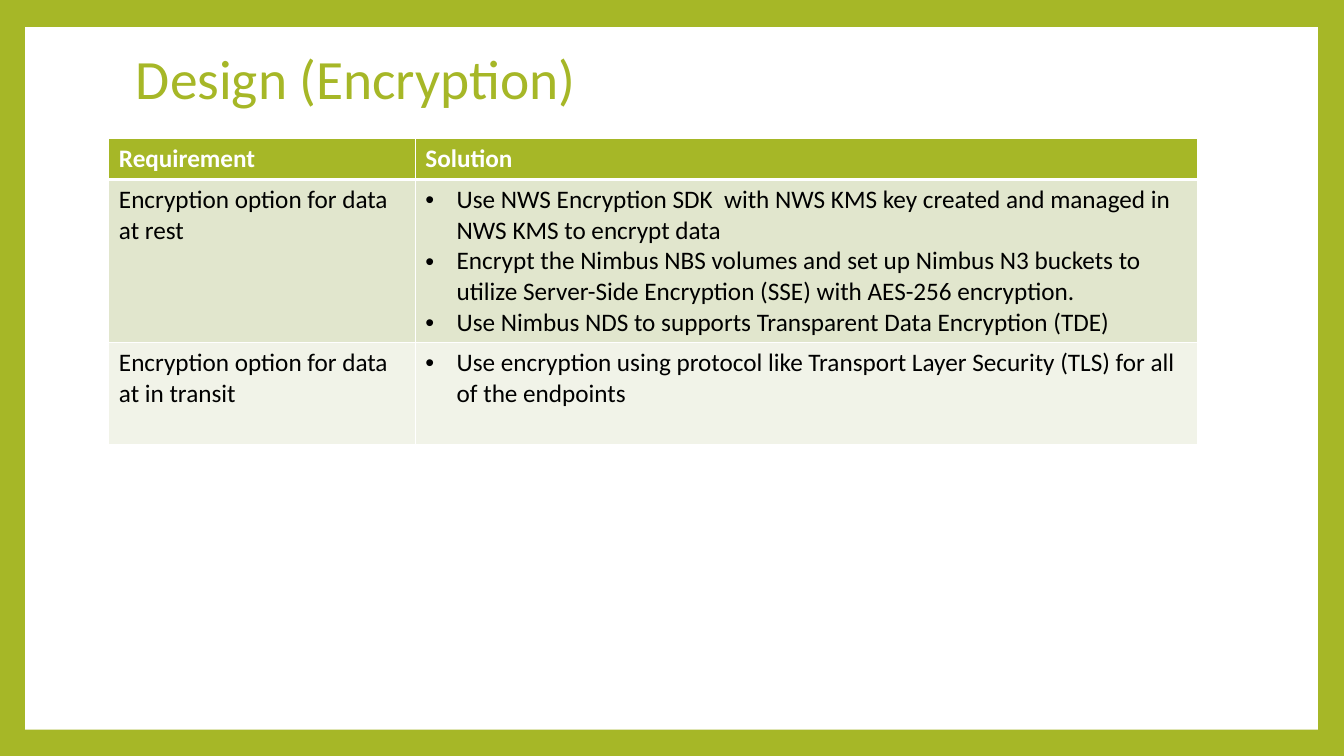
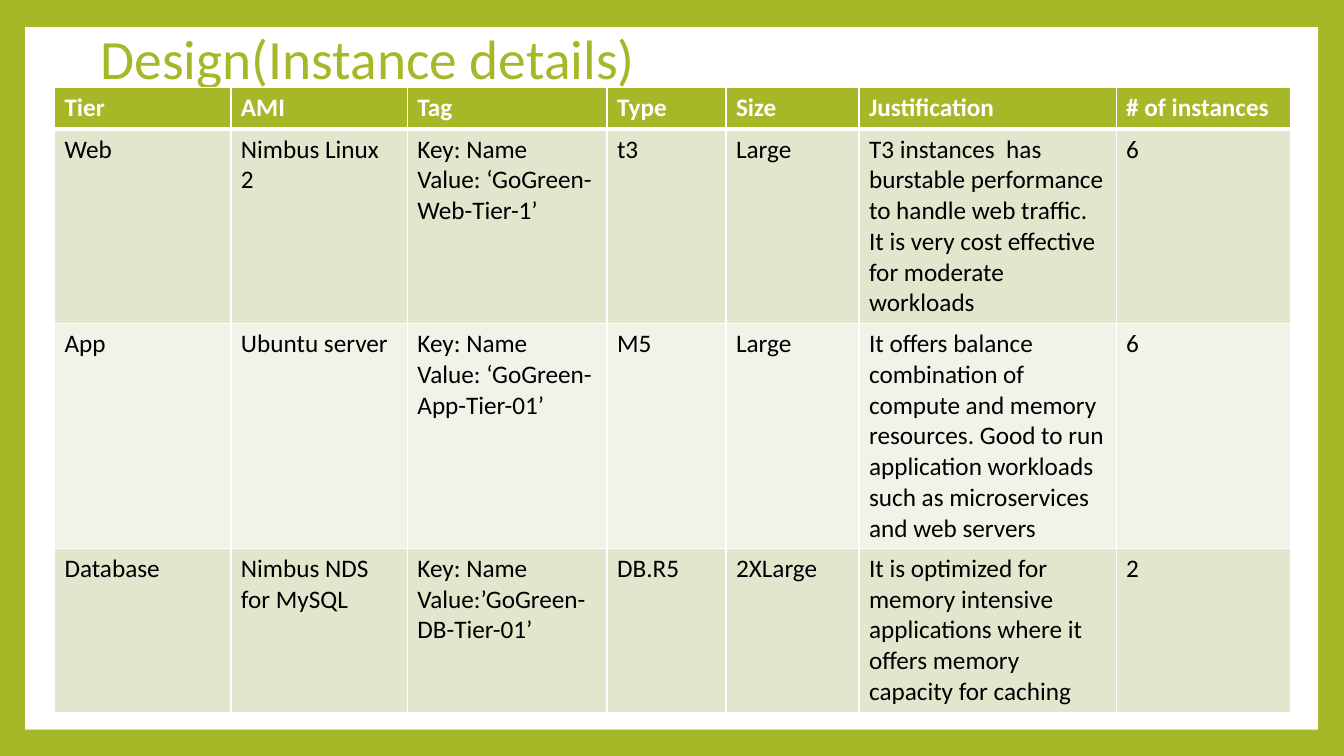
"""Build two design slides, each with a title and a table inside a green frame."""
from dataclasses import dataclass

from lxml.etree import SubElement
from pptx import Presentation
from pptx.dml.color import RGBColor
from pptx.enum.shapes import MSO_SHAPE
from pptx.enum.text import MSO_ANCHOR
from pptx.oxml.ns import qn
from pptx.presentation import Presentation as Deck
from pptx.slide import Slide
from pptx.table import _Cell
from pptx.text.text import _Paragraph
from pptx.util import Inches, Pt


@dataclass(frozen=True)
class Theme:
    green: str = "A6B727"
    white: str = "FFFFFF"
    black: str = "000000"
    bands: tuple[str, str] = ("E1E6CD", "F1F3E8")
    font: str = "Calibri"
    title_size: float = 39.6
    body_size: float = 18
    rule: float = 1
    header_rule: float = 3
    bullet_indent: float = 0.31


@dataclass(frozen=True)
class Bullets:
    items: tuple[str, ...]


@dataclass(frozen=True)
class Box:
    left: float
    top: float
    width: float
    height: float

    def lengths(self) -> tuple[Inches, ...]:
        return tuple(Inches(n) for n in (self.left, self.top, self.width, self.height))


@dataclass(frozen=True)
class DesignSlide:
    title: str
    title_box: Box
    table_left: float
    table_top: float
    columns: tuple[float, ...]
    row_heights: tuple[float, ...]
    rows: tuple[tuple[str | Bullets, ...], ...]


THEME = Theme()
PANEL = Box(0.25, 0.27, 12.82, 6.97)

DESIGNS = (
    DesignSlide(
        "Design (Encryption)", Box(1.25, 0.49, 10.8, 0.64), 1.08, 1.37,
        (3.04, 7.76), (0.41, 1.62, 1.01),
        (
            ("Requirement", "Solution"),
            ("Encryption option for data at rest", Bullets((
                "Use NWS Encryption SDK  with NWS KMS key created and managed in NWS KMS to encrypt data",
                "Encrypt the Nimbus NBS volumes and set up Nimbus N3 buckets to utilize "
                "Server-Side Encryption (SSE) with AES-256 encryption.",
                "Use Nimbus NDS to supports Transparent Data Encryption (TDE)",
            ))),
            ("Encryption option for data at in transit", Bullets((
                "Use encryption using protocol like Transport Layer Security (TLS) for all of the endpoints",
            ))),
        ),
    ),
    DesignSlide(
        "Design(Instance details)", Box(0.9, 0.35, 10.8, 0.52), 0.54, 0.87,
        (1.75, 1.75, 1.98, 1.18, 1.32, 2.55, 1.73), (0.41, 1.93, 2.23, 1.63),
        (
            ("Tier", "AMI", "Tag", "Type", "Size", "Justification", "# of instances"),
            ("Web", "Nimbus Linux 2", "Key: Name\nValue: ‘GoGreen-Web-Tier-1’", "t3", "Large",
             "T3 instances  has burstable performance to handle web traffic. "
             "It is very cost effective for moderate workloads", "6"),
            ("App", "Ubuntu server", "Key: Name\nValue: ‘GoGreen-App-Tier-01’", "M5", "Large",
             "It offers balance combination of compute and memory resources. Good to run "
             "application workloads such as microservices and web servers", "6"),
            ("Database", "Nimbus NDS for MySQL", "Key: Name\nValue:’GoGreen-DB-Tier-01’", "DB.R5", "2XLarge",
             "It is optimized for memory intensive applications where it offers memory "
             "capacity for caching", "2"),
        ),
    ),
)


def format_text(paragraph: _Paragraph, size: float, color: str, bold: bool = False) -> None:
    for name, value in {"name": THEME.font, "size": Pt(size), "bold": bold}.items():
        for run in paragraph.runs:
            setattr(run.font, name, value)
    for run in paragraph.runs:
        run.font.color.rgb = RGBColor.from_string(color)


def add_bullet(paragraph: _Paragraph) -> None:
    properties = paragraph._p.get_or_add_pPr()
    indent = Inches(THEME.bullet_indent)
    for name, value in {"marL": indent, "indent": -indent}.items():
        properties.set(name, str(int(value)))
    SubElement(properties, qn("a:buFont"), typeface="Arial")
    SubElement(properties, qn("a:buChar"), char="•")


def draw_borders(cell: _Cell, row: int) -> None:
    widths = {
        "L": THEME.rule,
        "R": THEME.rule,
        "T": THEME.header_rule if row == 1 else THEME.rule,
        "B": THEME.header_rule if row == 0 else THEME.rule,
    }
    properties = cell._tc.get_or_add_tcPr()
    for side, width in widths.items():
        border = SubElement(properties, qn(f"a:ln{side}"), w=str(int(Pt(width))))
        fill = SubElement(border, qn("a:solidFill"))
        SubElement(fill, qn("a:srgbClr"), val=THEME.white)


def fill_cell(cell: _Cell, content: str | Bullets, row: int) -> None:
    header = row == 0
    draw_borders(cell, row)
    cell.fill.solid()
    background = THEME.green if header else THEME.bands[(row - 1) % 2]
    cell.fill.fore_color.rgb = RGBColor.from_string(background)
    bulleted = isinstance(content, Bullets)
    cell.text = "\n".join(content.items) if bulleted else content
    for paragraph in cell.text_frame.paragraphs:
        if bulleted:
            add_bullet(paragraph)
        format_text(paragraph, THEME.body_size, THEME.white if header else THEME.black, header)


def draw_panel(slide: Slide) -> None:
    panel = slide.shapes.add_shape(MSO_SHAPE.RECTANGLE, *PANEL.lengths())
    panel.shadow.inherit = False
    panel.fill.solid()
    panel.fill.fore_color.rgb = RGBColor.from_string(THEME.white)
    panel.line.fill.background()


def draw_title(slide: Slide, design: DesignSlide) -> None:
    frame = slide.shapes.add_textbox(*design.title_box.lengths()).text_frame
    for name, value in {"word_wrap": True, "vertical_anchor": MSO_ANCHOR.MIDDLE}.items():
        setattr(frame, name, value)
    title = frame.paragraphs[0]
    title.text = design.title
    title.line_spacing = 0.9
    format_text(title, THEME.title_size, THEME.green)


def draw_table(slide: Slide, design: DesignSlide) -> None:
    box = Box(design.table_left, design.table_top, sum(design.columns), sum(design.row_heights))
    table = slide.shapes.add_table(len(design.rows), len(design.columns), *box.lengths()).table
    for column, width in zip(table.columns, design.columns):
        column.width = Inches(width)
    for table_row, height in zip(table.rows, design.row_heights):
        table_row.height = Inches(height)
    for row, contents in enumerate(design.rows):
        for column, content in enumerate(contents):
            fill_cell(table.cell(row, column), content, row)


def add_design(deck: Deck, design: DesignSlide) -> None:
    slide = deck.slides.add_slide(deck.slide_layouts[6])
    draw_panel(slide)
    draw_title(slide, design)
    draw_table(slide, design)


def main() -> None:
    deck = Presentation()
    deck.slide_width, deck.slide_height = Inches(13.33), Inches(7.5)
    backdrop = deck.slide_master.background.fill
    backdrop.solid()
    backdrop.fore_color.rgb = RGBColor.from_string(THEME.green)
    for design in DESIGNS:
        add_design(deck, design)
    deck.save("out.pptx")


if __name__ == "__main__":
    main()
